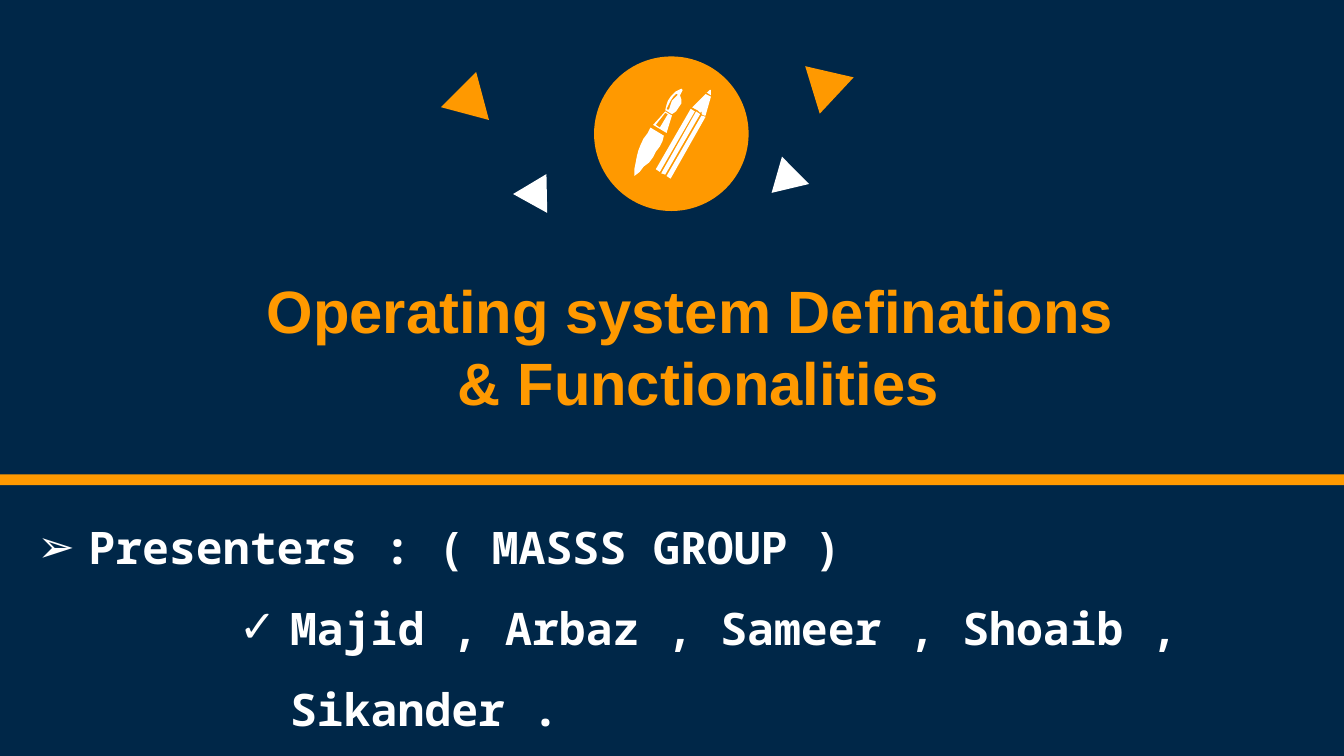
from lxml import etree
from pptx import Presentation
from pptx.dml.color import RGBColor
from pptx.enum import shapes, text
from pptx.oxml.ns import qn
from pptx.util import Inches, Pt

NAVY, ORANGE, WHITE = "002748", "FF9900", "FFFFFF"

# Outlines of the brush and pencil, in hundredths of an inch from the badge corner
TOOL_OUTLINES = [
    # brush handle
    [(42, 53), (52, 59), (51, 63), (49, 67), (46, 71), (44, 75), (41, 79), (37, 82),
     (34, 86), (30, 89), (30, 84), (31, 79), (32, 74), (33, 70), (35, 65), (37, 61), (40, 57)],
    # pencil stripes
    [(83, 45), (57, 91), (54, 89), (80, 44)],
    [(75, 41), (72, 39), (46, 84), (49, 86)],
    [(79, 43), (76, 41), (50, 87), (53, 88)],
    # pencil tip and sharpened wood
    [(87, 29), (84, 27), (83, 27), (84, 27), (86, 25), (87, 25), (87, 27)],
    [(73, 38), (75, 39), (77, 40), (78, 41), (79, 42), (80, 41), (80, 43), (82, 44),
     (83, 44), (87, 30), (83, 28)],
    # bristles and their highlight
    [(53, 40), (54, 36), (55, 33), (57, 30), (59, 28), (61, 26), (63, 25), (65, 24),
     (66, 25), (65, 27), (64, 29), (65, 32), (65, 35), (63, 38), (61, 41), (58, 43)],
    [(61, 28), (62, 28), (62, 29), (60, 31), (58, 33), (57, 36), (56, 39), (55, 40),
     (54, 39), (56, 35), (57, 33), (59, 30)],
    # ferrule and its highlight
    [(44, 51), (54, 57), (58, 44), (53, 41)],
    [(46, 51), (49, 53), (55, 43), (53, 42)],
]

# left, top, width, height, rotation, colour
CONFETTI = [
    (3.34, 0.62, 0.37, 0.32, 135, ORANGE),
    (3.86, 1.28, 0.29, 0.25, 29, WHITE),
    (5.95, 0.53, 0.37, 0.32, 193, ORANGE),
    (5.76, 1.21, 0.28, 0.25, 106, WHITE),
]


def rgb(colour):
    return RGBColor.from_string(colour)


def paint(shape, colour):
    shape.shadow.inherit = False
    shape.fill.solid()
    shape.fill.fore_color.rgb = rgb(colour)
    shape.line.fill.background()


def add_preset(page, kind, left, top, width, height, colour):
    shape = page.shapes.add_shape(kind, Inches(left), Inches(top), Inches(width), Inches(height))
    paint(shape, colour)
    return shape


def add_paragraphs(page, left, top, width, height, lines, font, size, colour):
    """Add a wrapping text box and return its paragraphs, one for each line."""
    box = page.shapes.add_textbox(Inches(left), Inches(top), Inches(width), Inches(height))
    frame = box.text_frame
    frame.word_wrap = True
    frame.text = "\n".join(lines)
    for para in frame.paragraphs:
        para.font.name = font
        para.font.size = Pt(size)
        para.font.bold = True
        para.font.color.rgb = rgb(colour)
    return frame.paragraphs


def set_bullet(para, symbol, indent, hang=0.38):
    props = para._p.get_or_add_pPr()
    props.set("marL", str(Inches(indent)))
    props.set("indent", str(-Inches(hang)))
    colour = etree.SubElement(props, qn("a:buClr"))
    etree.SubElement(colour, qn("a:srgbClr")).set("val", WHITE)
    etree.SubElement(props, qn("a:buFont")).set("typeface", "Arial")
    etree.SubElement(props, qn("a:buChar")).set("char", symbol)
    # The schema wants the default run properties after the bullet
    defaults = props.find(qn("a:defRPr"))
    if defaults is not None:
        props.append(defaults)


def add_badge(page, left, top, size):
    add_preset(page, shapes.MSO_SHAPE.OVAL, left, top, size, size, ORANGE)
    builder = page.shapes.build_freeform(*TOOL_OUTLINES[0][0], scale=Inches(0.01))
    for outline in TOOL_OUTLINES:
        builder.move_to(*outline[0])
        builder.add_line_segments(outline[1:], close=True)
    paint(builder.convert_to_shape(Inches(left), Inches(top)), WHITE)


def add_confetti(page):
    for left, top, width, height, rotation, colour in CONFETTI:
        triangle = add_preset(page, shapes.MSO_SHAPE.ISOSCELES_TRIANGLE,
                              left, top, width, height, colour)
        triangle.rotation = rotation


def add_title(page, left, top, width, height):
    lines = ["Operating system Definations ", "& Functionalities"]
    for para in add_paragraphs(page, left, top, width, height, lines, "Arial", 32, ORANGE):
        para.alignment = text.PP_ALIGN.CENTER


def add_presenters(page, left, top, width, height):
    lines = ["Presenters : ( MASSS GROUP )", "Majid , Arbaz , Sameer , Shoaib ,  Sikander ."]
    heading, names = add_paragraphs(page, left, top, width, height, lines,
                                    "Noto Sans Mono", 24, WHITE)
    names.level = 3
    for para, symbol, indent in ((heading, "➢", 0.38), (names, "✓", 1.88)):
        para.line_spacing = 1.5
        set_bullet(para, symbol, indent)


def main():
    deck = Presentation()
    deck.slide_width = Inches(10)
    deck.slide_height = deck.slide_width * 9 // 16
    page = deck.slides.add_slide(deck.slide_layouts[6])
    page.background.fill.solid()
    page.background.fill.fore_color.rgb = rgb(NAVY)

    add_title(page, 0.68, 1.99, 9.04, 1.42)
    add_preset(page, shapes.MSO_SHAPE.RECTANGLE, -0.01, 3.53, 10.01, 0.08, ORANGE)
    add_presenters(page, 0.18, 3.62, 9.54, 1.77)
    add_badge(page, 4.42, 0.42, 1.15)
    add_confetti(page)
    deck.save("out.pptx")


if __name__ == "__main__":
    main()
